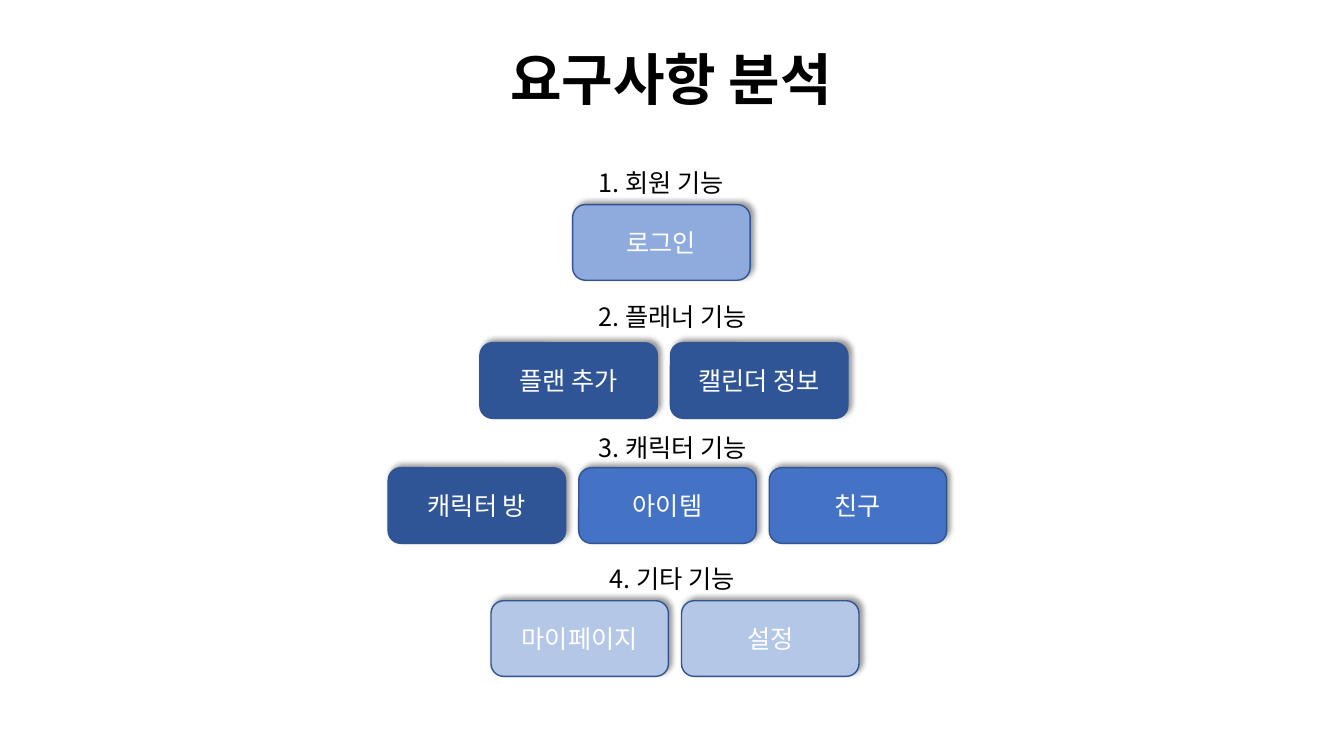
"""Build the requirements analysis slide: four feature groups with their function boxes."""
from lxml.etree import SubElement
from pptx import Presentation
from pptx.dml.color import RGBColor
from pptx.enum.shapes import MSO_SHAPE
from pptx.enum.text import MSO_ANCHOR, MSO_AUTO_SIZE, PP_ALIGN
from pptx.oxml import parse_xml
from pptx.oxml.ns import nsdecls, qn
from pptx.util import Inches, Pt

FONT = "Noto Sans CJK KR"
BLACK = RGBColor(0x00, 0x00, 0x00)
WHITE = RGBColor(0xFF, 0xFF, 0xFF)
OUTLINE = RGBColor(0x32, 0x54, 0x91)
NAVY = RGBColor(0x2F, 0x55, 0x97)
BLUE = RGBColor(0x44, 0x72, 0xC4)
LIGHT = RGBColor(0x8F, 0xAA, 0xDC)
PALE = RGBColor(0xB4, 0xC7, 0xE7)

BOX_WIDTH, BOX_HEIGHT = 1.76, 0.75
COLUMN_STEP = BOX_WIDTH + 0.13
HEADING_WIDTH, HEADING_HEIGHT = 2.92, 0.4
SHADOW = (
    f'<a:outerShdw {nsdecls("a")} blurRad="{Pt(4)}" dist="{Pt(3)}" dir="{315 * 60000}" '
    'algn="bl" rotWithShape="0"><a:srgbClr val="000000"><a:alpha val="40000"/>'
    '</a:srgbClr></a:outerShdw>'
)

GROUPS = [
    ("1. 회원 기능", 5.1, 1.61, 5.68, 2.03, [("로그인", LIGHT)]),
    ("2. 플래너 기능", 5.21, 2.94, 4.76, 3.4, [("플랜 추가", NAVY), ("캘린더 정보", NAVY)]),
    ("3. 캐릭터 기능", 5.21, 4.24, 3.85, 4.64,
     [("캐릭터 방", NAVY), ("아이템", BLUE), ("친구", BLUE)]),
    ("4. 기타 기능", 5.21, 5.54, 4.87, 5.96, [("마이페이지", PALE), ("설정", PALE)]),
]


def write(frame, text, size, color, anchor=MSO_ANCHOR.TOP, bold=False):
    frame.word_wrap = True
    frame.vertical_anchor = anchor
    paragraph = frame.paragraphs[0]
    paragraph.text = text
    paragraph.alignment = PP_ALIGN.CENTER
    font = paragraph.font
    font.name, font.size, font.bold = FONT, Pt(size), bold
    font.color.rgb = color
    defaults = paragraph._p.pPr.find(qn("a:defRPr"))
    SubElement(defaults, qn("a:ea")).set("typeface", FONT)


presentation = Presentation()
presentation.slide_width = Inches(13.33)
presentation.slide_height = Inches(7.5)
slide = presentation.slides.add_slide(presentation.slide_layouts[5])

title = slide.shapes.title
title.left, title.top = Inches(0.31), Inches(0.39)
title.width, title.height = Inches(12.69), Inches(0.77)
write(title.text_frame, "요구사항 분석", 40, BLACK, bold=True)
title.text_frame.auto_size = MSO_AUTO_SIZE.SHAPE_TO_FIT_TEXT

for heading, heading_left, heading_top, row_left, row_top, functions in GROUPS:
    label = slide.shapes.add_textbox(
        Inches(heading_left), Inches(heading_top),
        Inches(HEADING_WIDTH), Inches(HEADING_HEIGHT))
    write(label.text_frame, heading, 18, BLACK)
    label.text_frame.auto_size = MSO_AUTO_SIZE.SHAPE_TO_FIT_TEXT

    for column, (function, color) in enumerate(functions):
        box = slide.shapes.add_shape(
            MSO_SHAPE.ROUNDED_RECTANGLE,
            Inches(row_left + column * COLUMN_STEP), Inches(row_top),
            Inches(BOX_WIDTH), Inches(BOX_HEIGHT))
        box.fill.solid()
        box.fill.fore_color.rgb = color
        box.line.color.rgb = OUTLINE
        box.line.width = Pt(1)
        box.shadow.inherit = False
        box._element.spPr.find(qn("a:effectLst")).append(parse_xml(SHADOW))
        write(box.text_frame, function, 18, WHITE, MSO_ANCHOR.MIDDLE)

presentation.save("out.pptx")
